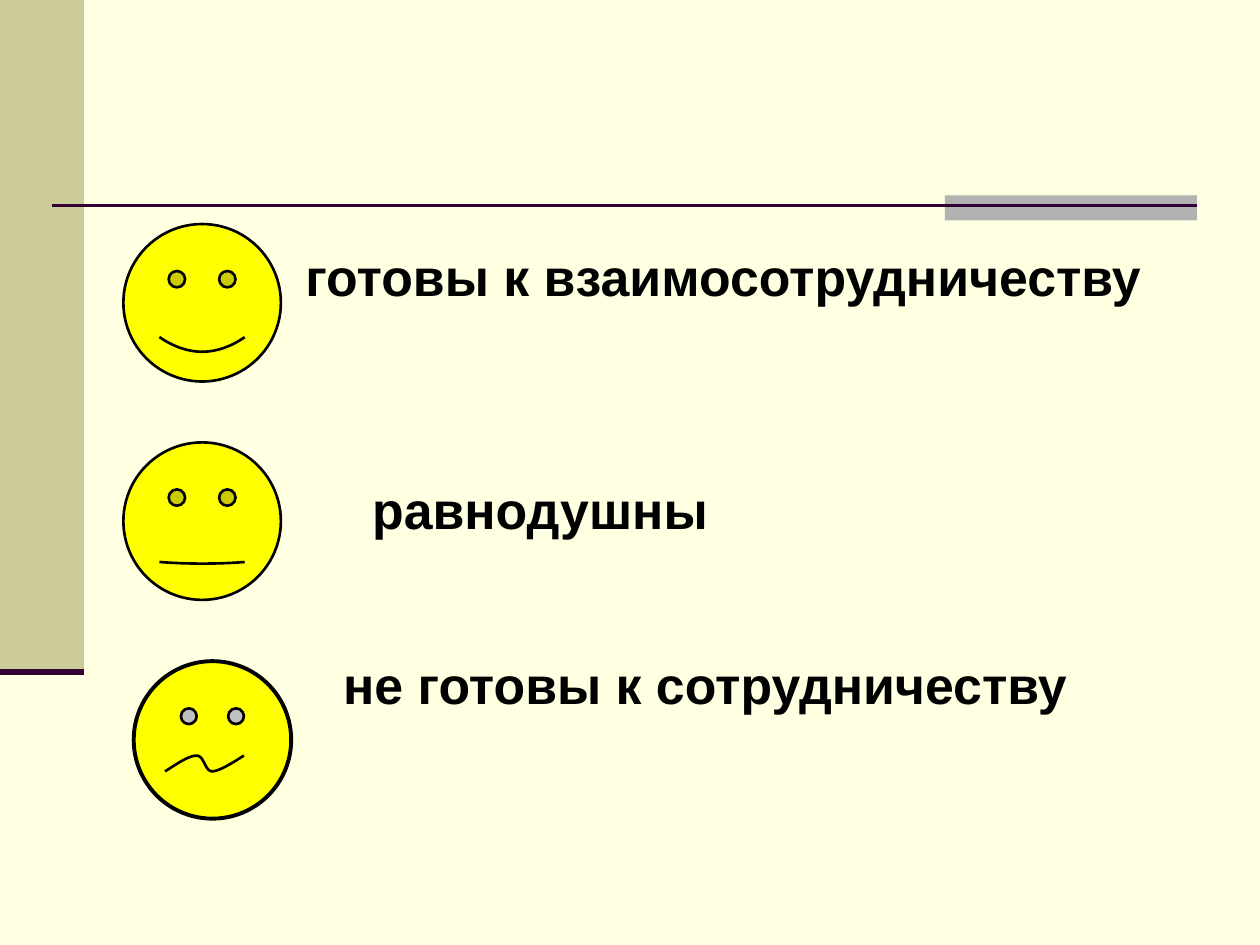
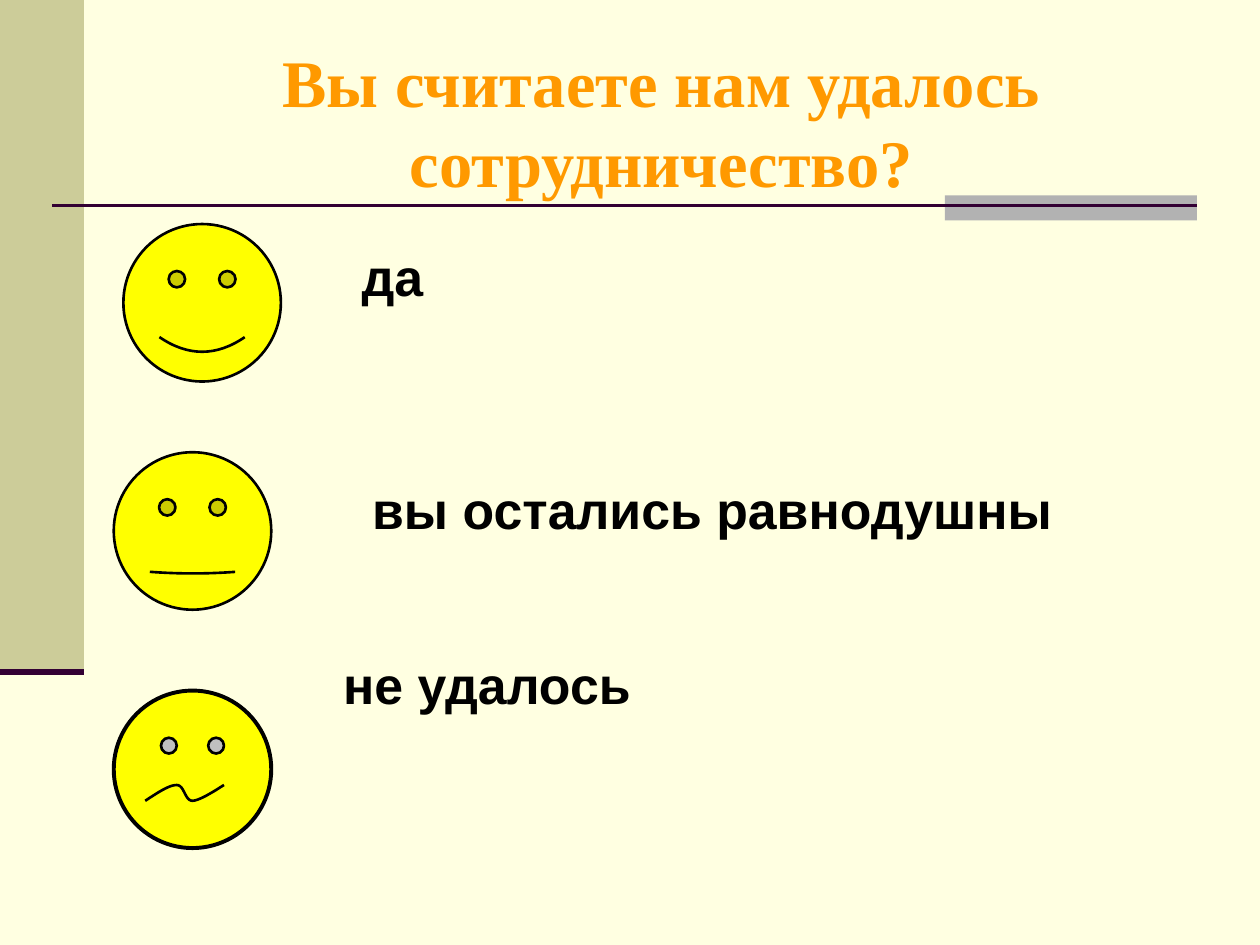
from pptx import Presentation
from pptx.dml.color import RGBColor
from pptx.enum.shapes import MSO_CONNECTOR, MSO_SHAPE
from pptx.enum.text import MSO_ANCHOR, PP_ALIGN
from pptx.oxml.ns import qn
from pptx.util import Pt

CREAM = RGBColor(0xFF, 0xFF, 0xE1)
OLIVE = RGBColor(0xCC, 0xCC, 0x99)
GRAY = RGBColor(0xB2, 0xB2, 0xB2)
EYE_GRAY = RGBColor(0xC0, 0xC0, 0xC0)
PLUM = RGBColor(0x33, 0x00, 0x33)
YELLOW = RGBColor(0xFF, 0xFF, 0x00)
ORANGE = RGBColor(0xFF, 0x99, 0x00)
BLACK = RGBColor(0, 0, 0)

TITLE_LAYOUT, BLANK_LAYOUT = 5, 6
TITLE_BOX = (72, 21.6, 612, 90)
ANSWERS_BOX = (60, 126, 660, 382)
ANSWER_GAPS = (0, 97.4, 64.3)
FACE_SIZE = 90
SMILE, NEUTRAL = 0.0465, 0.005
WAVY_MOUTH = (
    ((18, 63), (25, 58.5), (31.5, 54), (36, 54)),
    ((36, 54), (40.5, 54), (40.5, 63), (45, 63)),
    ((45, 63), (49.5, 63), (60.5, 55.5), (63, 54)),
)


def add_filled(shapes, kind, box, fill, line_width=None):
    shape = shapes.add_shape(kind, *map(Pt, box))
    shape.shadow.inherit = False
    shape.fill.solid()
    shape.fill.fore_color.rgb = fill
    if line_width:
        shape.line.color.rgb = BLACK
        shape.line.width = Pt(line_width)
    else:
        shape.line.fill.background()
    return shape


def add_rule(page, left, right, y, width):
    rule = page.shapes.add_connector(
        MSO_CONNECTOR.STRAIGHT, Pt(left), Pt(y), Pt(right), Pt(y))
    rule.line.color.rgb = PLUM
    rule.line.width = Pt(width)
    properties = rule._element.spPr
    properties.append(properties.makeelement(qn("a:effectLst"), {}))


def add_frame(page):
    """Draw the side band, the corner bar and the two rules."""
    add_filled(page.shapes, MSO_SHAPE.RECTANGLE, (0, 0, 48, 384), OLIVE)
    add_filled(page.shapes, MSO_SHAPE.RECTANGLE, (540, 111.6, 144, 14.4), GRAY)
    add_rule(page, 30, 684, 117.5, 1.5)
    add_rule(page, 0, 48, 384, 3.5)


def style_text(para, font_name, size, color):
    for span in para.runs:
        span.font.name = font_name
        span.font.size = Pt(size)
        span.font.bold = True
        span.font.color.rgb = color


def set_title(page, text):
    title = page.shapes.title
    title.left, title.top, title.width, title.height = map(Pt, TITLE_BOX)
    frame = title.text_frame
    frame.text = text
    frame.word_wrap = True
    frame.vertical_anchor = MSO_ANCHOR.TOP
    frame.margin_top = Pt(2)
    para = frame.paragraphs[0]
    para.alignment = PP_ALIGN.CENTER
    para.line_spacing = Pt(45.7)
    style_text(para, "Times New Roman", 38, ORANGE)


def add_answers(page, answers):
    """Write (text, indent) answers as the paragraphs of one box."""
    frame = page.shapes.add_textbox(*map(Pt, ANSWERS_BOX)).text_frame
    frame.word_wrap = True
    frame.margin_top = Pt(14.1)
    frame.text = "\n".join(text for text, _ in answers)
    for para, (_, indent), gap in zip(frame.paragraphs, answers, ANSWER_GAPS):
        para._p.get_or_add_pPr().set("marL", str(Pt(indent)))
        para.space_before = Pt(gap)
        style_text(para, "Arial", 29.6, BLACK)


def add_smiley(page, left, top, curve):
    face = add_filled(page.shapes, MSO_SHAPE.SMILEY_FACE,
                      (left, top, FACE_SIZE, FACE_SIZE), YELLOW, 1.5)
    face.adjustments[0] = curve


def curve_points(curve, steps=12):
    """Sample a cubic Bezier curve, leaving out its start."""
    for step in range(1, steps + 1):
        t = step / steps
        weights = ((1 - t) ** 3, 3 * t * (1 - t) ** 2, 3 * t * t * (1 - t), t ** 3)
        yield tuple(sum(w * point[axis] for w, point in zip(weights, curve))
                    for axis in (0, 1))


def add_upset_face(page, left, top):
    shapes = page.shapes.add_group_shape().shapes
    add_filled(shapes, MSO_SHAPE.OVAL, (left, top, FACE_SIZE, FACE_SIZE), YELLOW, 2.25)
    for eye_left in (27, 54):
        add_filled(shapes, MSO_SHAPE.OVAL, (left + eye_left, top + 27, 9, 9),
                   EYE_GRAY, 1.5)
    start_x, start_y = WAVY_MOUTH[0][0]
    builder = shapes.build_freeform(Pt(left + start_x), Pt(top + start_y))
    builder.add_line_segments(
        [(Pt(left + x), Pt(top + y)) for curve in WAVY_MOUTH
         for x, y in curve_points(curve)], close=False)
    mouth = builder.convert_to_shape()
    mouth.shadow.inherit = False
    mouth.fill.background()
    mouth.line.color.rgb = BLACK
    mouth.line.width = Pt(1.5)


def add_poll_slide(deck, answers, happy, neutral, upset, title=None):
    layout = TITLE_LAYOUT if title else BLANK_LAYOUT
    page = deck.slides.add_slide(deck.slide_layouts[layout])
    add_frame(page)
    add_answers(page, answers)
    add_smiley(page, *happy, SMILE)
    add_smiley(page, *neutral, NEUTRAL)
    add_upset_face(page, *upset)
    if title:
        set_title(page, title)


def main():
    deck = Presentation()
    deck.slide_width, deck.slide_height = Pt(720), Pt(540)
    background = deck.slide_master.background.fill
    background.solid()
    background.fore_color.rgb = CREAM
    add_poll_slide(
        deck,
        [("готовы к взаимосотрудничеству", 107.4),
         ("равнодушны", 145.6),
         ("не готовы к сотрудничеству", 129)],
        happy=(70.5, 128), neutral=(70.5, 252.8), upset=(76.4, 377.8))
    add_poll_slide(
        deck,
        [("да", 139.5),
         ("вы остались равнодушны", 145.6),
         ("не удалось", 129)],
        happy=(70.5, 128), neutral=(65, 258.4), upset=(65, 394.6),
        title="Вы считаете нам удалось сотрудничество?")
    deck.save("out.pptx")


if __name__ == "__main__":
    main()
